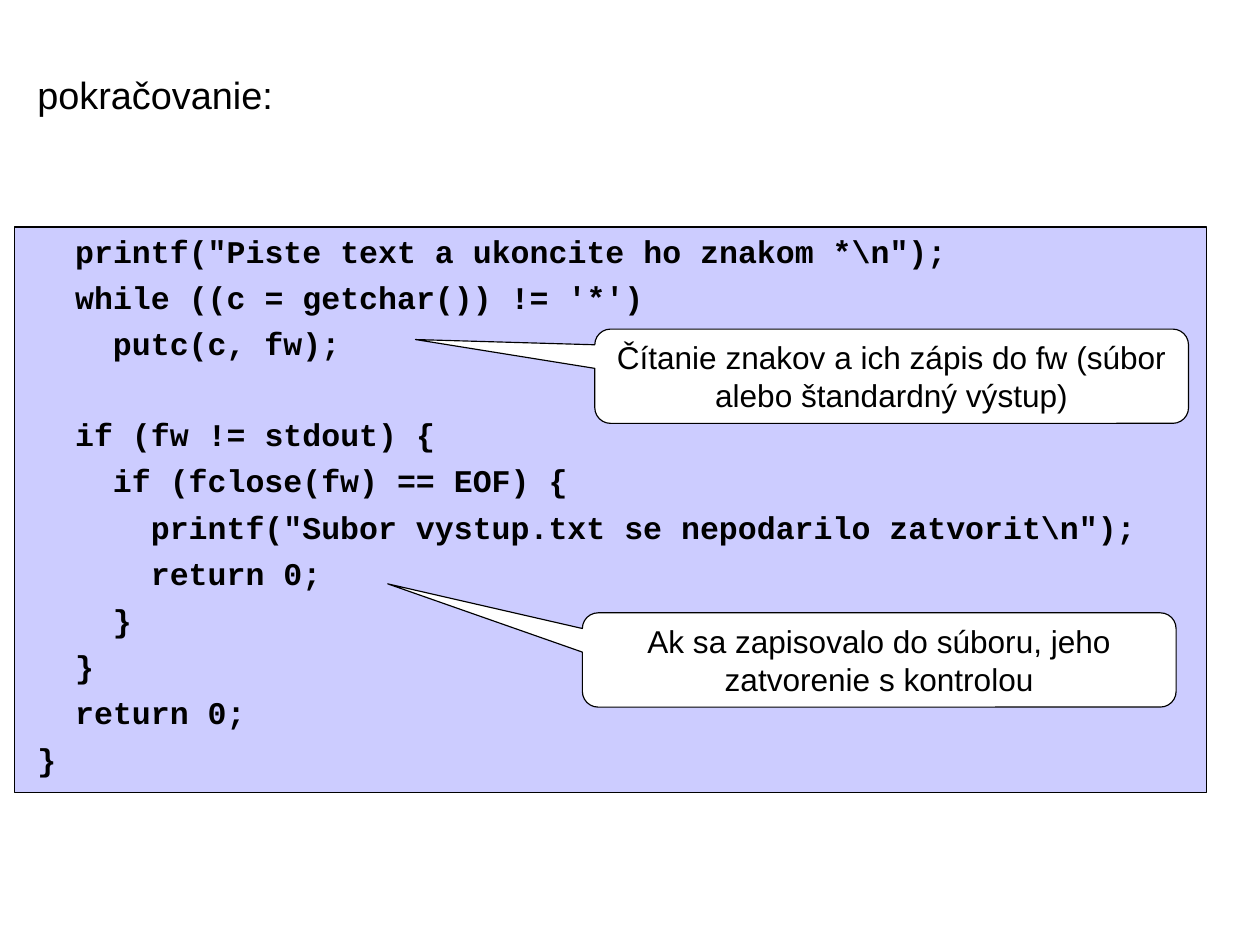
from pptx import Presentation
from pptx.dml.color import RGBColor
from pptx.enum.shapes import MSO_SHAPE
from pptx.enum.text import MSO_ANCHOR, PP_ALIGN
from pptx.util import Pt

BLACK = RGBColor(0x00, 0x00, 0x00)
WHITE = RGBColor(0xFF, 0xFF, 0xFF)
LAVENDER = RGBColor(0xCC, 0xCC, 0xFF)

INSETS = {"margin_left": Pt(7.92), "margin_right": Pt(7.92),
          "margin_top": Pt(4.32), "margin_bottom": Pt(4.32),
          "vertical_anchor": MSO_ANCHOR.TOP, "word_wrap": True}
TITLE_FONT = {"name": "Arial", "size": Pt(24), "bold": False}
CODE_FONT = {"name": "Courier New", "size": Pt(20), "bold": True}
NOTE_FONT = {"name": "Arial", "size": Pt(20), "bold": False}

INDENT = 24
GAP = 5.4
BLANK_LINE = 33.5
CODE = [
    (1, GAP, 'printf("Piste text a ukoncite ho znakom *\\n");'),
    (1, GAP, "while ((c = getchar()) != '*')"),
    (2, GAP, "putc(c, fw);"),
    (1, BLANK_LINE, "if (fw != stdout) {"),
    (2, GAP, "if (fclose(fw) == EOF) {"),
    (3, GAP, 'printf("Subor vystup.txt se nepodarilo zatvorit\\n");'),
    (3, GAP, "return 0;"),
    (2, GAP, "}"),
    (1, GAP, "}"),
    (1, GAP, "return 0;"),
    (0, GAP, "}"),
]
NOTES = [
    (377.3, 208.8, (-0.802, -0.389, 0.167),
     "Čítanie znakov a ich zápis do fw (súbor alebo štandardný výstup)"),
    (369.4, 388.8, (-0.828, -0.808, 0.167),
     "Ak sa zapisovalo do súboru, jeho zatvorenie s kontrolou"),
]


def write(p, text, font):
    r = p.add_run()
    r.text = text
    for name, value in font.items():
        setattr(r.font, name, value)
    r.font.color.rgb = BLACK


def add_box(s, kind, left, top, width, height, color):
    sp = s.shapes.add_shape(kind, Pt(left), Pt(top), Pt(width), Pt(height))
    sp.shadow.inherit = False
    sp.fill.solid()
    sp.fill.fore_color.rgb = color
    sp.line.color.rgb = BLACK
    sp.line.width = Pt(0.75)
    return sp


prs = Presentation()
prs.slide_width, prs.slide_height = Pt(799.2), Pt(597.6)
s = prs.slides.add_slide(prs.slide_layouts[5])

title = s.shapes.title
title.left, title.top, title.width, title.height = Pt(15.8), Pt(41), Pt(204.5), Pt(54)
p = title.text_frame.paragraphs[0]
p.alignment = PP_ALIGN.LEFT
p.space_before = Pt(3)
write(p, "pokračovanie:", TITLE_FONT)

add_box(s, MSO_SHAPE.RECTANGLE, 9.4, 144, 756, 358.6, LAVENDER)
code = s.shapes.add_textbox(Pt(15.8), Pt(142.6), Pt(768.2), Pt(360))

for tf in (title.text_frame, code.text_frame):
    for name, value in INSETS.items():
        setattr(tf, name, value)

tf = code.text_frame
for i, (level, gap, line) in enumerate(CODE):
    p = tf.add_paragraph() if i else tf.paragraphs[0]
    p.space_before = Pt(gap)
    pPr = p._p.get_or_add_pPr()
    pPr.set("marL", str(Pt(INDENT * level)))
    pPr.set("indent", "0")
    write(p, line, CODE_FONT)

for left, top, adjustments, text in NOTES:
    sp = add_box(s, MSO_SHAPE.ROUNDED_RECTANGULAR_CALLOUT, left, top, 376.6, 59.8, WHITE)
    for i, value in enumerate(adjustments):
        sp.adjustments[i] = value
    tf = sp.text_frame
    tf.word_wrap = True
    tf.vertical_anchor = MSO_ANCHOR.MIDDLE
    p = tf.paragraphs[0]
    p.alignment = PP_ALIGN.CENTER
    write(p, text, NOTE_FONT)

prs.save("out.pptx")
